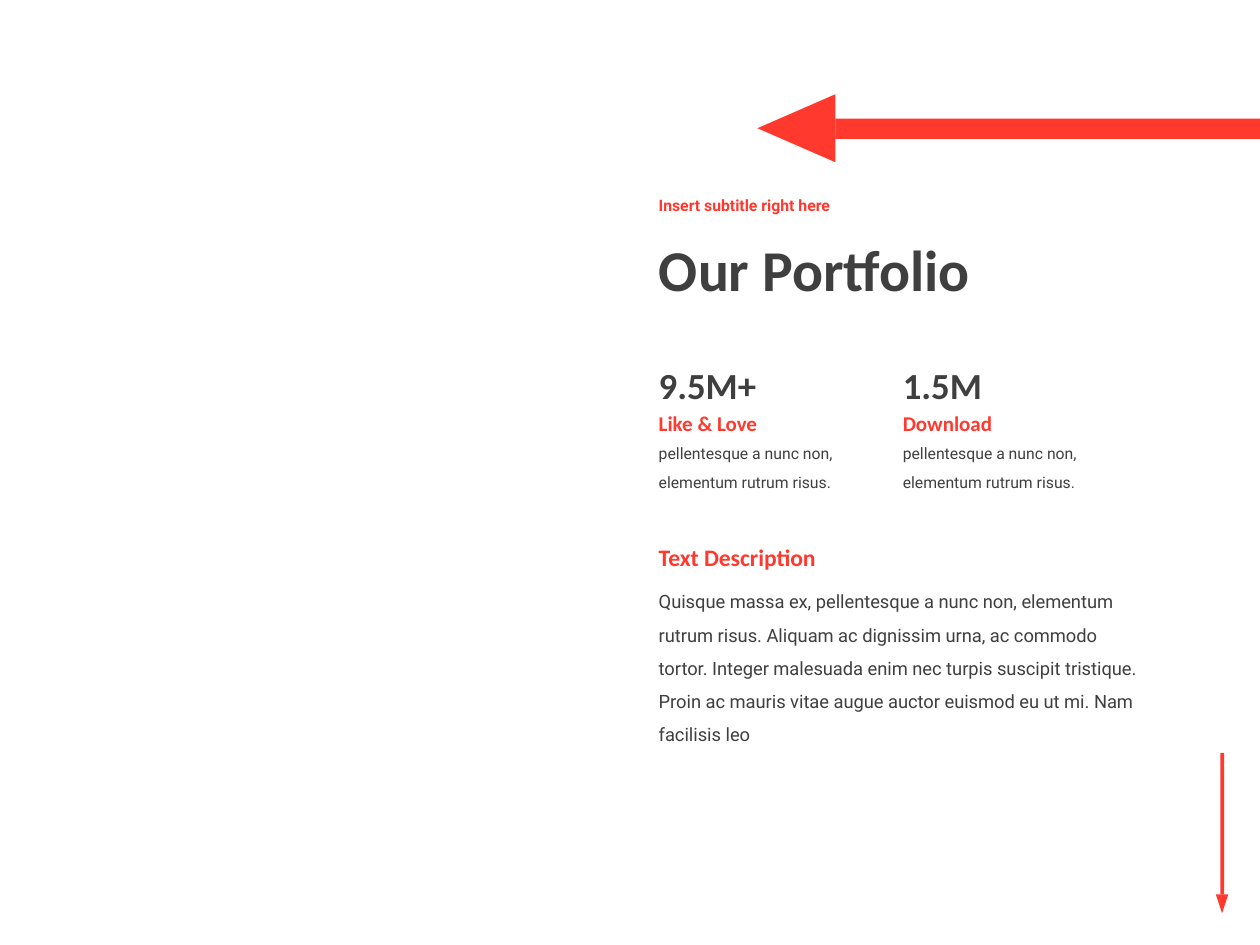
import pptx
import pptx.util
from dataclasses import dataclass
from pptx.dml.color import RGBColor
from pptx.enum.shapes import MSO_SHAPE
from pptx.enum.text import MSO_ANCHOR, MSO_AUTO_SIZE, PP_ALIGN

Cm = pptx.util.Cm


@dataclass(frozen=True)
class Theme:
    red: str = "FF392E"
    dark: str = "3F3F3F"
    head: str = "Calibri"
    body: str = "Roboto"
    title: float = 33
    figure: float = 21
    topic: float = 13.5
    label: float = 12
    text: float = 10.5
    small: float = 9


theme = Theme()


def style(frame, words, font, size, color, bold=False, space=1.0):
    frame.word_wrap = True
    frame.text = words
    para = frame.paragraphs[0]
    para.alignment = PP_ALIGN.LEFT
    para.line_spacing = space
    para.font.name = font
    para.font.size = pptx.util.Pt(size)
    para.font.bold = bold
    para.font.color.rgb = RGBColor.from_string(color)


def write(slide, box, *look, **more):
    frame = slide.shapes.add_textbox(*map(Cm, box)).text_frame
    style(frame, *look, **more)
    frame.auto_size = MSO_AUTO_SIZE.SHAPE_TO_FIT_TEXT
    return frame


def paint(slide, kind, box, turn=0):
    shape = slide.shapes.add_shape(kind, *map(Cm, box))
    shape.rotation = turn
    shape.shadow.inherit = False
    shape.fill.solid()
    shape.fill.fore_color.rgb = RGBColor.from_string(theme.red)
    shape.line.fill.background()


def arrow(slide, bar, tip, turn):
    paint(slide, MSO_SHAPE.RECTANGLE, bar)
    paint(slide, MSO_SHAPE.ISOSCELES_TRIANGLE, tip, turn)


def header(slide, x, y, w):
    # Title, with the subtitle above it
    title = slide.shapes.title
    title.left, title.top, title.width, title.height = map(Cm, (x, y + 0.51, w, 2.62))
    style(title.text_frame, "Our Portfolio", theme.head, theme.title,
          theme.dark, True, 0.9)
    title.text_frame.vertical_anchor = MSO_ANCHOR.MIDDLE
    sub = write(slide, (x, y, w, 0.97), "Insert subtitle right here",
                theme.body, theme.small, theme.red, True, 0.9)
    sub.auto_size = MSO_AUTO_SIZE.NONE
    sub.vertical_anchor = MSO_ANCHOR.MIDDLE


def stat(slide, x, y, w, figure, label):
    # Figure, its label and a short note
    write(slide, (x, y, w, 1.14), figure, theme.head, theme.figure, theme.dark, True)
    write(slide, (x, y + 0.97, w, 0.76), label, theme.head, theme.label, theme.red, True)
    write(slide, (x, y + 1.45, w, 1.35),
          "pellentesque a nunc non, elementum rutrum risus.",
          theme.body, theme.small, theme.dark, space=1.5)


def about(slide, x, y, w):
    # Description heading and paragraph
    write(slide, (x, y, w, 0.84), "Text Description",
          theme.head, theme.topic, theme.red, True)
    write(slide, (x, y + 0.74, w, 2.87),
          "Quisque massa ex, pellentesque a nunc non, elementum rutrum risus. "
          "Aliquam ac dignissim urna, ac commodo tortor. Integer malesuada enim "
          "nec turpis suscipit tristique. Proin ac mauris vitae augue auctor "
          "euismod eu ut mi. Nam facilisis leo",
          theme.body, theme.text, theme.dark, space=1.5)


def main():
    deck = pptx.Presentation()
    deck.slide_width, deck.slide_height = Cm(25.4), Cm(19.05)
    slide = deck.slides.add_slide(deck.slide_layouts[5])
    left = 13.03

    # Down arrow in the corner
    arrow(slide, (24.6, 15.18, 0.08, 2.85), (24.51, 18.03, 0.25, 0.38), 180)
    header(slide, left, 3.68, 14.3)
    about(slide, left, 10.82, 10.16)
    stats = [("9.5M+", "Like & Love"), ("1.5M", "Download")]
    for i, (figure, label) in enumerate(stats):
        stat(slide, left + i * 4.92, 7.19, 4.8, figure, label)
    # Large arrow from the right edge
    arrow(slide, (16.84, 2.39, 9.93, 0.41), (15.37, 1.8, 1.37, 1.57), 270)

    deck.save("out.pptx")


if __name__ == "__main__":
    main()
